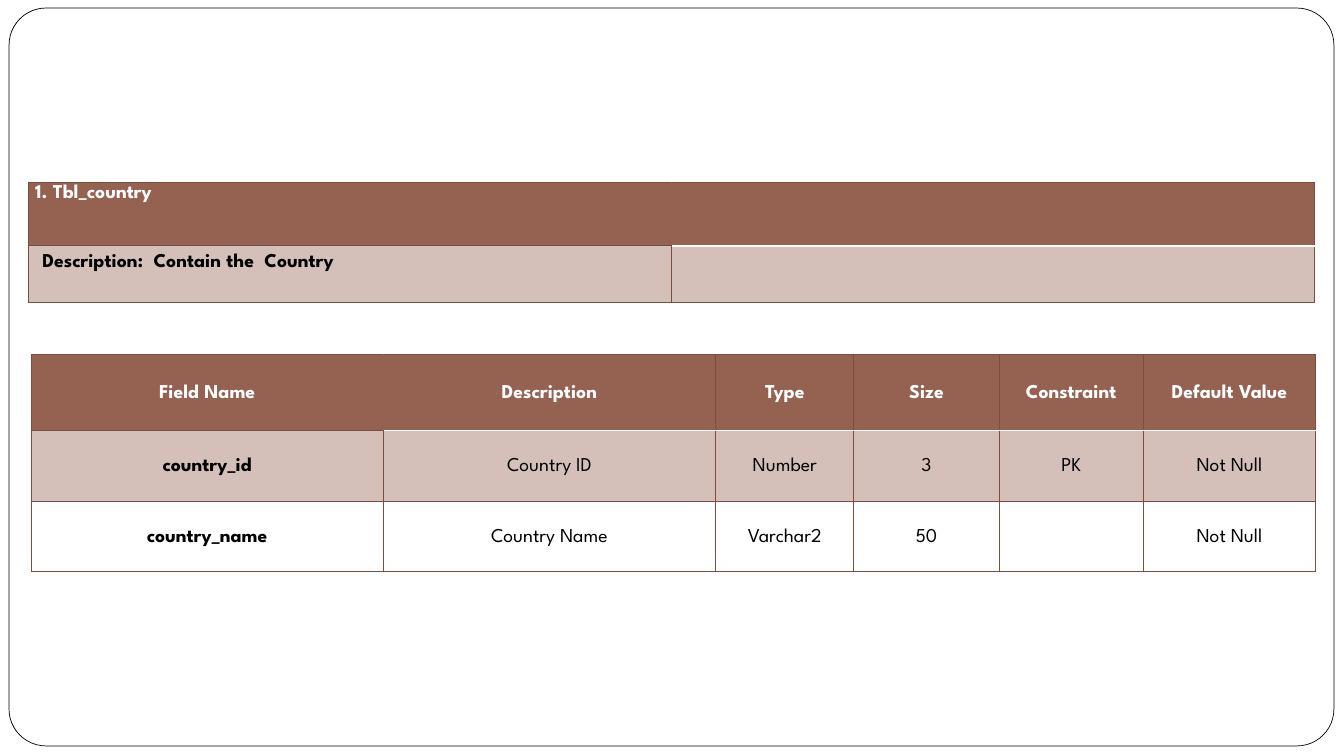
from lxml import etree
from pptx import Presentation
from pptx.dml.color import RGBColor
from pptx.enum import shapes, text
from pptx.oxml import ns
from pptx.util import Inches, Pt

FONT = "League Spartan"
BROWN = RGBColor(0x95, 0x62, 0x51)
DARK = RGBColor(0x7A, 0x4D, 0x3E)
WHITE = RGBColor(0xFF, 0xFF, 0xFF)
BLACK = RGBColor(0, 0, 0)

TITLE = [["1. Tbl_country", ""],
         ["Description:  Contain the  Country", ""]]
FIELDS = [
    ["Field Name", "Description", "Type", "Size", "Constraint", "Default Value"],
    ["country_id", "Country ID", "Number", "3", "PK", "Not Null"],
    ["country_name", "Country Name", "Varchar2", "50", "", "Not Null"],
]


def add_frame(slide):
    frame = slide.shapes.add_shape(
        shapes.MSO_SHAPE.ROUNDED_RECTANGLE,
        Inches(0.09), Inches(0.08), Inches(13.14), Inches(7.32))
    frame.adjustments[0] = 0.05
    frame.shadow.inherit = False
    frame.fill.solid()
    frame.fill.fore_color.rgb = WHITE
    frame.line.color.rgb = BLACK
    frame.line.width = Pt(0.5)


def fill_cell(cell, row):
    """Brown header, pale brown first row, then clear."""
    if row > 1:
        cell.fill.background()
        return
    cell.fill.solid()
    cell.fill.fore_color.rgb = BROWN
    if row == 1:
        color = cell._tc.tcPr.find(".//" + ns.qn("a:srgbClr"))
        etree.SubElement(color, ns.qn("a:alpha"), val="40000")


def edge_cell(cell, row, col):
    """White rule under the header past column one; no rule between its first two cells."""
    head = row == 0
    edges = {
        "lnL": BROWN if head and col == 1 else DARK,
        "lnR": BROWN if head and col == 0 else DARK,
        "lnT": WHITE if row == 1 and col else DARK,
        "lnB": WHITE if head and col else DARK,
    }
    for i, (tag, color) in enumerate(edges.items()):
        width = Pt(1) if color == WHITE else Pt(0.75)
        line = etree.Element(ns.qn("a:" + tag), w=str(int(width)))
        fill = etree.SubElement(line, ns.qn("a:solidFill"))
        etree.SubElement(fill, ns.qn("a:srgbClr"), val=str(color))
        cell._tc.tcPr.insert(i, line)


def write_cell(cell, words, row, col, center):
    cell.margin_left = cell.margin_right = Inches(0.07)
    cell.margin_top = cell.margin_bottom = 0
    para = cell.text_frame.paragraphs[0]
    para.text = words
    para.line_spacing = 1.15
    if center:
        cell.vertical_anchor = text.MSO_ANCHOR.MIDDLE
        para.alignment = text.PP_ALIGN.CENTER
    para.font.size = Pt(14)
    for run in para.runs:
        run.font.name = FONT
        run.font.size = Pt(14)
        run.font.bold = row == 0 or col == 0
        run.font.color.rgb = BLACK if row else WHITE


def add_grid(slide, left, top, widths, heights, data, center):
    size = Inches(sum(widths)), Inches(sum(heights))
    grid = slide.shapes.add_table(
        len(heights), len(widths), Inches(left), Inches(top), *size).table
    grid.first_row = grid.horz_banding = False
    for col, width in zip(grid.columns, widths):
        col.width = Inches(width)
    for row, height in zip(grid.rows, heights):
        row.height = Inches(height)
    for r, line in enumerate(data):
        for c, words in enumerate(line):
            cell = grid.cell(r, c)
            write_cell(cell, words, r, c, center)
            fill_cell(cell, r)
            edge_cell(cell, r, c)
    return grid


def main():
    deck = Presentation()
    deck.slide_width, deck.slide_height = Inches(13.33), Inches(7.5)
    slide = deck.slides.add_slide(deck.slide_layouts[6])
    add_frame(slide)
    title = add_grid(slide, 0.28, 1.81, [6.38] * 2, [0.63, 0.56], TITLE, False)
    note = title.cell(1, 0)
    note.margin_left = Inches(0.14)
    note.margin_top = Inches(0.05)
    add_grid(slide, 0.31, 3.52, [3.49, 3.3, 1.37, 1.44, 1.43, 1.71],
             [0.75, 0.7, 0.7], FIELDS, True)
    deck.save("out.pptx")


if __name__ == "__main__":
    main()
